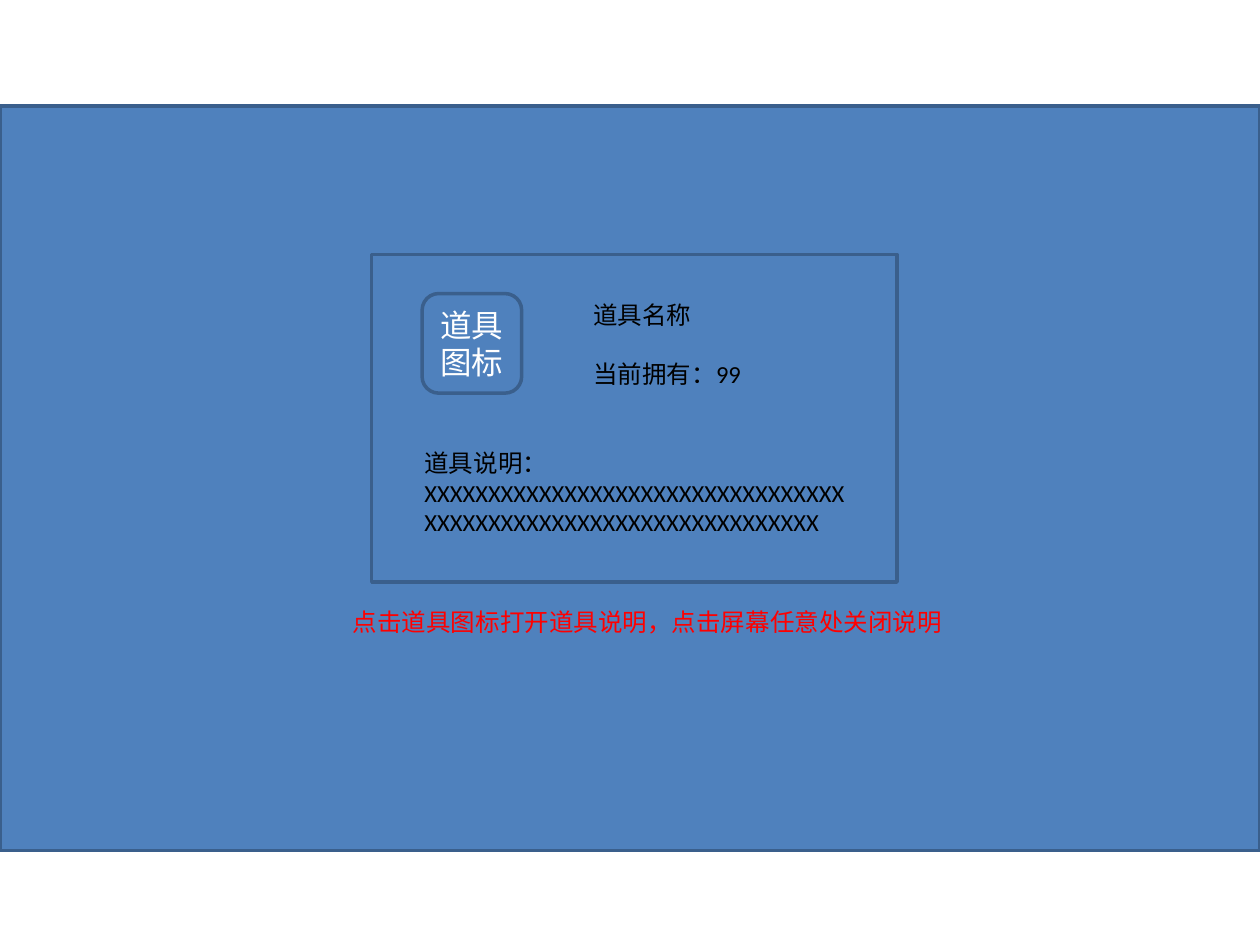
import pptx
import pptx.dml.color
import pptx.enum.shapes
import pptx.enum.text
import pptx.util

BLUE = pptx.dml.color.RGBColor(0x4F, 0x81, 0xBD)
OUTLINE = pptx.dml.color.RGBColor(0x3A, 0x5F, 0x8C)
WHITE = pptx.dml.color.RGBColor(0xFF, 0xFF, 0xFF)
BLACK = pptx.dml.color.RGBColor(0, 0, 0)
RED = pptx.dml.color.RGBColor(0xFF, 0, 0)
SHAPES = pptx.enum.shapes.MSO_SHAPE
ALIGN = pptx.enum.text.PP_ALIGN
ANCHOR = pptx.enum.text.MSO_ANCHOR
COLUMNS, ROWS = 100, 75


def write(frame, text, size=14, color=BLACK, align=ALIGN.LEFT,
          anchor=ANCHOR.TOP, gap=0, font="Calibri"):
    frame.word_wrap = True
    frame.vertical_anchor = anchor
    frame.text = text
    for index, paragraph in enumerate(frame.paragraphs):
        paragraph.alignment = align
        paragraph.space_before = pptx.util.Pt(gap if index else 0)
        paragraph.font.size = pptx.util.Pt(size)
        paragraph.font.name = font
        paragraph.font.color.rgb = color


class Mockup:
    def __init__(self, presentation):
        self.column = presentation.slide_width / COLUMNS
        self.row = presentation.slide_height / ROWS
        self.slide = presentation.slides.add_slide(presentation.slide_layouts[6])

    def place(self, left, top, width, height):
        return (round(left * self.column), round(top * self.row),
                round(width * self.column), round(height * self.row))

    def panel(self, *cells, kind=SHAPES.RECTANGLE):
        shape = self.slide.shapes.add_shape(kind, *self.place(*cells))
        shape.shadow.inherit = False
        shape.fill.solid()
        shape.fill.fore_color.rgb = BLUE
        shape.line.color.rgb = OUTLINE
        shape.line.width = pptx.util.Pt(2)
        return shape

    def label(self, text, *cells, **style):
        box = self.slide.shapes.add_textbox(*self.place(*cells))
        write(box.text_frame, text, **style)
        box.text_frame.auto_size = pptx.enum.text.MSO_AUTO_SIZE.SHAPE_TO_FIT_TEXT


presentation = pptx.Presentation()
presentation.slide_width = pptx.util.Inches(10)
presentation.slide_height = pptx.util.Inches(7.5)

mockup = Mockup(presentation)
mockup.panel(0, 8.4, COLUMNS, 59.1)
mockup.panel(29.5, 20.2, 41.7, 26)
icon = mockup.panel(33.5, 23.3, 7.9, 7.9, kind=SHAPES.ROUNDED_RECTANGLE)
write(icon.text_frame, "道具图标", size=18, color=WHITE,
      align=ALIGN.CENTER, anchor=ANCHOR.MIDDLE)
mockup.label("道具名称\n当前拥有：99", 46.1, 23.3, 24.4, 8.1, gap=17)
mockup.label("道具说明：" + "X" * 64, 32.7, 35.1, 36.2, 8.1)
mockup.label("点击道具图标打开道具说明，点击屏幕任意处关闭说明",
             21.3, 47.7, 60.2, 3.4, color=RED, align=ALIGN.CENTER)

presentation.save("out.pptx")
